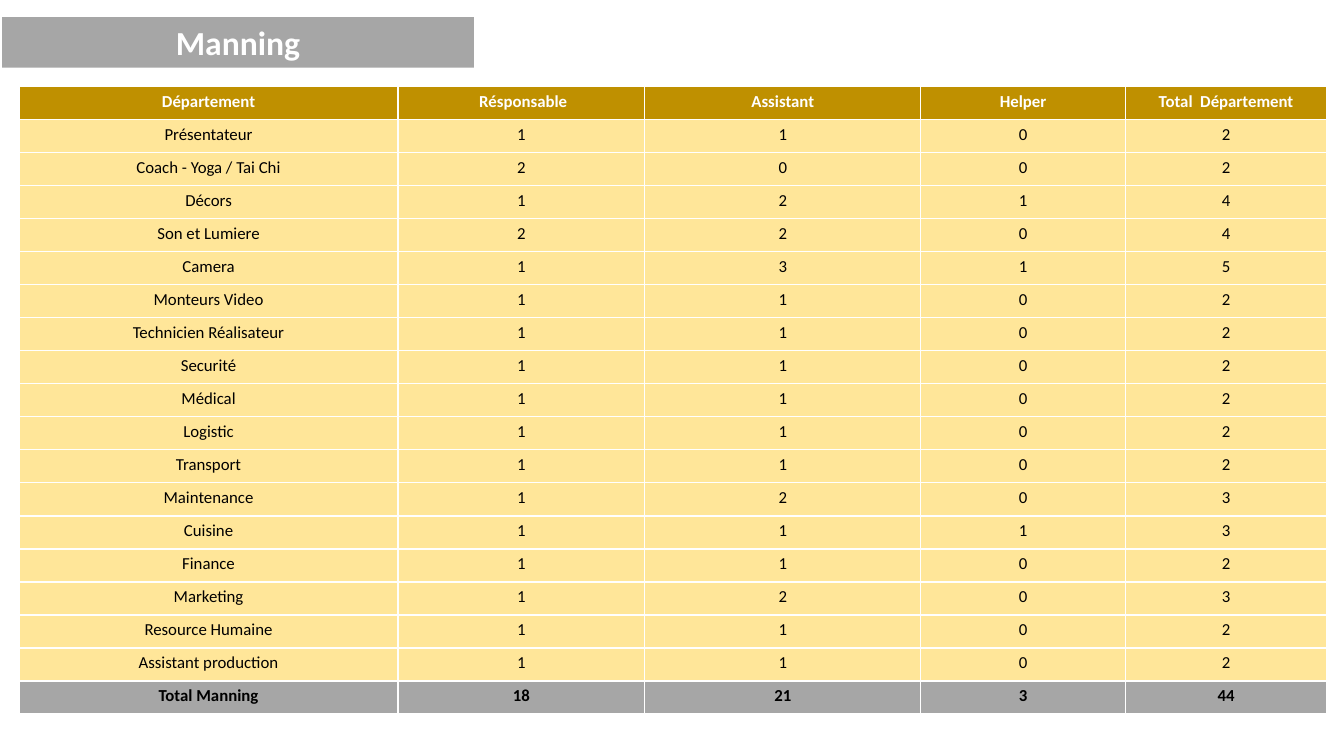
from pptx import Presentation
from pptx.dml.color import RGBColor
from pptx.enum.text import MSO_ANCHOR as Anchor, MSO_AUTO_SIZE as AutoSize, PP_ALIGN as Align
from pptx.util import Inches, Pt

WHITE, BLACK = "FFFFFF", "000000"
GREY, GOLD, CREAM = "A6A6A6", "BF9000", "FFE699"

HEADER = ("Département", " Résponsable", "Assistant", "Helper", "Total  Département")
STAFF = (
    ("Présentateur", 1, 1, 0),
    ("Coach - Yoga / Tai Chi", 2, 0, 0),
    ("Décors", 1, 2, 1),
    ("Son et Lumiere", 2, 2, 0),
    ("Camera", 1, 3, 1),
    ("Monteurs Video", 1, 1, 0),
    ("Technicien Réalisateur", 1, 1, 0),
    ("Securité", 1, 1, 0),
    ("Médical", 1, 1, 0),
    ("Logistic", 1, 1, 0),
    ("Transport", 1, 1, 0),
    ("Maintenance", 1, 2, 0),
    ("Cuisine", 1, 1, 1),
    ("Finance", 1, 1, 0),
    ("Marketing", 1, 2, 0),
    ("Resource Humaine", 1, 1, 0),
    ("Assistant production", 1, 1, 0),
)
TOTALS = ("Total Manning", 18, 21, 3, 44)
COLUMN_WIDTHS = (3.76, 2.45, 2.74, 2.03, 2)

TITLE_FORMAT = {"name": "Calibri", "size": Pt(24), "bold": True}
HEADER_FORMAT = {"name": "Calibri", "size": Pt(12), "bold": True}
BODY_FORMAT = {**HEADER_FORMAT, "bold": False}


def paint(color_format, color):
    color_format.rgb = RGBColor.from_string(color)


def fill_solid(part, color):
    part.fill.solid()
    paint(part.fill.fore_color, color)


def write_centred(frame, text, font_format, color):
    frame.text = text
    paragraph = frame.paragraphs[0]
    paragraph.alignment = Align.CENTER
    font = paragraph.runs[0].font
    for attribute, value in font_format.items():
        setattr(font, attribute, value)
    paint(font.color, color)


def place_title(slide, left, top, width, height):
    banner = slide.shapes.title
    banner.left, banner.top = Inches(left), Inches(top)
    banner.width, banner.height = Inches(width), Inches(height)
    fill_solid(banner, GREY)
    frame = banner.text_frame
    frame.auto_size = AutoSize.NONE
    frame.vertical_anchor = Anchor.MIDDLE
    write_centred(frame, "Manning", TITLE_FORMAT, WHITE)


def add_manning_table(slide, left, top, width, height):
    departments = [(*row, sum(row[1:])) for row in STAFF]
    rows = [(HEADER, GOLD, HEADER_FORMAT, WHITE)]
    rows += [(row, CREAM, BODY_FORMAT, BLACK) for row in departments]
    rows.append((TOTALS, GREY, HEADER_FORMAT, BLACK))

    manning = slide.shapes.add_table(
        len(rows), len(HEADER), Inches(left), Inches(top), Inches(width), Inches(height)
    ).table
    manning.horz_banding = False
    for column, share in zip(manning.columns, COLUMN_WIDTHS):
        column.width = Inches(width * share / sum(COLUMN_WIDTHS))
    for table_row, (values, fill, font_format, color) in zip(manning.rows, rows):
        for cell, value in zip(table_row.cells, values):
            fill_solid(cell, fill)
            write_centred(cell.text_frame, str(value), font_format, color)


def main():
    deck = Presentation()
    deck.slide_width, deck.slide_height = Inches(13.33), Inches(7.5)
    slide = deck.slides.add_slide(deck.slide_layouts.get_by_name("Title Only"))
    place_title(slide, 0.02, 0.17, 4.68, 0.5)
    add_manning_table(slide, 0.19, 0.86, 12.97, 6.23)
    deck.save("out.pptx")


if __name__ == "__main__":
    main()
